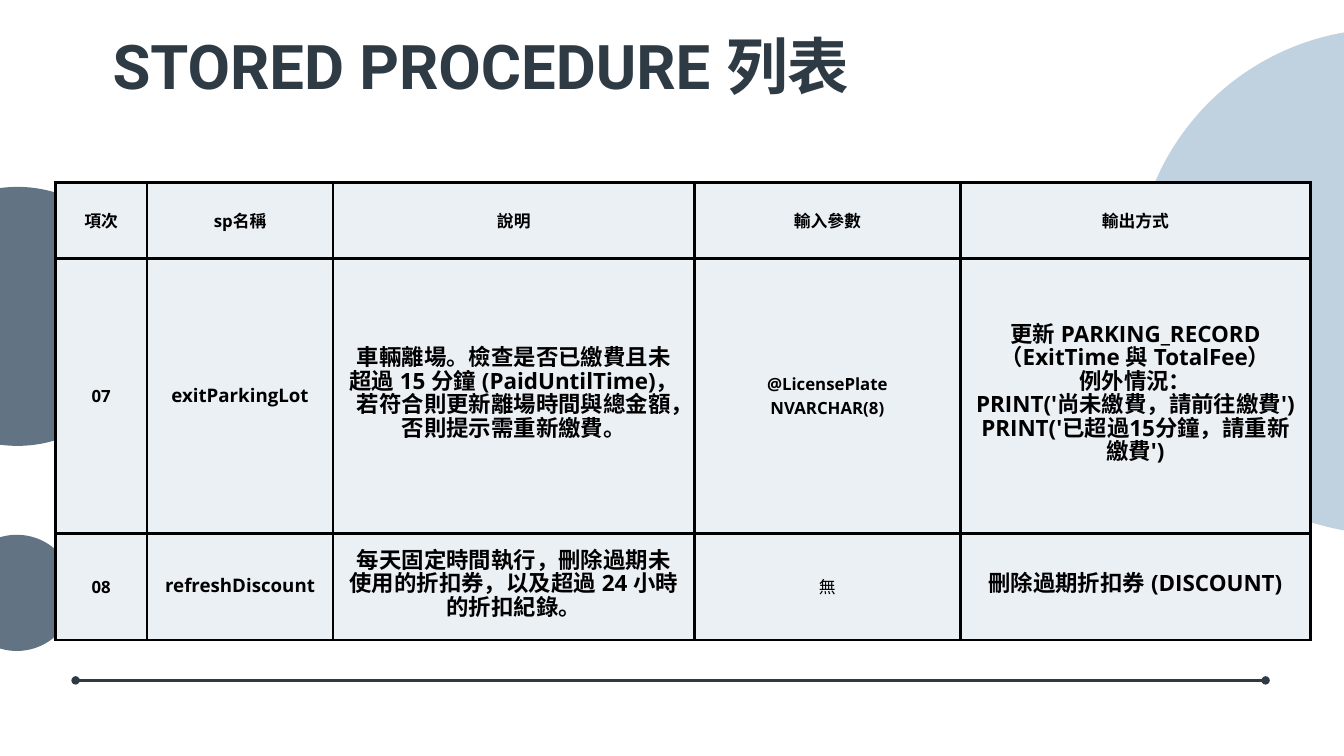
"""Build the stored procedure list slide."""
from lxml.etree import SubElement
from pptx import Presentation
from pptx.dml.color import RGBColor
from pptx.enum.shapes import MSO_CONNECTOR, MSO_SHAPE
from pptx.enum.text import MSO_ANCHOR as ANCHOR, MSO_AUTO_SIZE as AUTO_SIZE, PP_ALIGN as ALIGN
from pptx.oxml.ns import qn
from pptx.util import Emu, Pt

EMU_PER_PX = 9525
INK = RGBColor(0x2E, 0x3A, 0x44)
SLATE = RGBColor(0x62, 0x74, 0x84)
SKY = RGBColor(0xC0, 0xD1, 0xDF)
CELL = RGBColor(0xEB, 0xF0, 0xF5)
BLACK = RGBColor(0, 0, 0)

COLUMN_WIDTHS = (131, 266, 516, 380, 500)
ROW_HEIGHTS = (108, 393, 152)
HEADER_SIZES = (18,) * 5
BODY_SIZES = (18, 20, 24, 18, 24)
PROCEDURES = (
    ("項次", "sp名稱", "說明", "輸入參數", "輸出方式"),
    (
        "07",
        "exitParkingLot",
        "車輛離場。檢查是否已繳費且未超過 15 分鐘 (PaidUntilTime)，若符合則更新離場時間與總金額，否則提示需重新繳費。",
        "@LicensePlate NVARCHAR(8)",
        "更新 PARKING_RECORD（ExitTime 與 TotalFee）\n例外情況：\n"
        "PRINT('尚未繳費，請前往繳費')\nPRINT('已超過15分鐘，請重新繳費')",
    ),
    (
        "08",
        "refreshDiscount",
        "每天固定時間執行，刪除過期未使用的折扣券，以及超過 24 小時的折扣紀錄。",
        "無",
        "刪除過期折扣券 (DISCOUNT)",
    ),
)


def px(length):
    return Emu(length * EMU_PER_PX)


def write(frame, text, *, size, spacing, font="Open Sans", color=BLACK, bold=True):
    frame.word_wrap = True
    frame.text = text
    for paragraph in frame.paragraphs:
        paragraph.alignment = ALIGN.CENTER
        paragraph.line_spacing = Pt(spacing)
        for run in paragraph.runs:
            run.font.name = font
            run.font.size = Pt(size)
            run.font.bold = bold
            run.font.color.rgb = color
            SubElement(run.font._element, qn("a:ea"), typeface=font)


def add_title(slide, text):
    title = slide.shapes.title
    title.left, title.top, title.width, title.height = map(px, (25, 22, 1324, 138))
    frame = title.text_frame
    frame.margin_left = frame.margin_right = frame.margin_top = frame.margin_bottom = 0
    frame.vertical_anchor = ANCHOR.TOP
    frame.auto_size = AUTO_SIZE.NONE
    write(frame, text, size=66, spacing=92.4, font="Roboto", color=INK)


def add_circle(slide, left, top, diameter, color):
    circle = slide.shapes.add_shape(
        MSO_SHAPE.OVAL, px(left), px(top), px(diameter), px(diameter)
    )
    circle.shadow.inherit = False
    circle.fill.solid()
    circle.fill.fore_color.rgb = color
    circle.line.fill.background()


def add_rule(slide, left, right, y):
    rule = slide.shapes.add_connector(
        MSO_CONNECTOR.STRAIGHT, px(left), px(y), px(right), px(y)
    )
    rule.line.color.rgb = INK
    rule.line.width = Pt(3)
    outline = rule.line._get_or_add_ln()
    for end in ("a:headEnd", "a:tailEnd"):
        SubElement(outline, qn(end), type="oval")
    SubElement(rule._element.spPr, qn("a:effectLst"))


def add_borders(cell):
    properties = cell._tc.get_or_add_tcPr()
    for position, side in enumerate(("a:lnL", "a:lnR", "a:lnT", "a:lnB")):
        border = properties.makeelement(qn(side), {"w": str(Pt(3))})
        fill = SubElement(border, qn("a:solidFill"))
        SubElement(fill, qn("a:srgbClr"), val=str(BLACK))
        properties.insert(position, border)


def fill_cell(cell, text, size):
    cell.margin_left = cell.margin_right = cell.margin_top = cell.margin_bottom = px(20)
    cell.vertical_anchor = ANCHOR.MIDDLE
    cell.fill.solid()
    cell.fill.fore_color.rgb = CELL
    add_borders(cell)
    write(cell.text_frame, text, size=size, spacing=25.2, bold=text != "無")


def add_procedure_table(slide, left, top):
    table = slide.shapes.add_table(
        len(ROW_HEIGHTS), len(COLUMN_WIDTHS), px(left), px(top),
        px(sum(COLUMN_WIDTHS)), px(sum(ROW_HEIGHTS)),
    ).table
    for column, width in zip(table.columns, COLUMN_WIDTHS):
        column.width = px(width)
    for index, (row, height) in enumerate(zip(table.rows, ROW_HEIGHTS)):
        row.height = px(height)
        sizes = BODY_SIZES if index else HEADER_SIZES
        for cell, text, size in zip(row.cells, PROCEDURES[index], sizes):
            fill_cell(cell, text, size)


def main():
    presentation = Presentation()
    presentation.slide_width, presentation.slide_height = px(1920), px(1080)
    slide = presentation.slides.add_slide(presentation.slide_layouts[5])
    add_title(slide, "STORED PROCEDURE 列表")
    add_circle(slide, 1621, 41, 722, SKY)
    add_circle(slide, -160, 267, 370, SLATE)
    add_rule(slide, 108, 1808, 972)
    add_circle(slide, -59, 764, 166, SLATE)
    add_procedure_table(slide, 79, 261)
    presentation.save("out.pptx")


if __name__ == "__main__":
    main()
